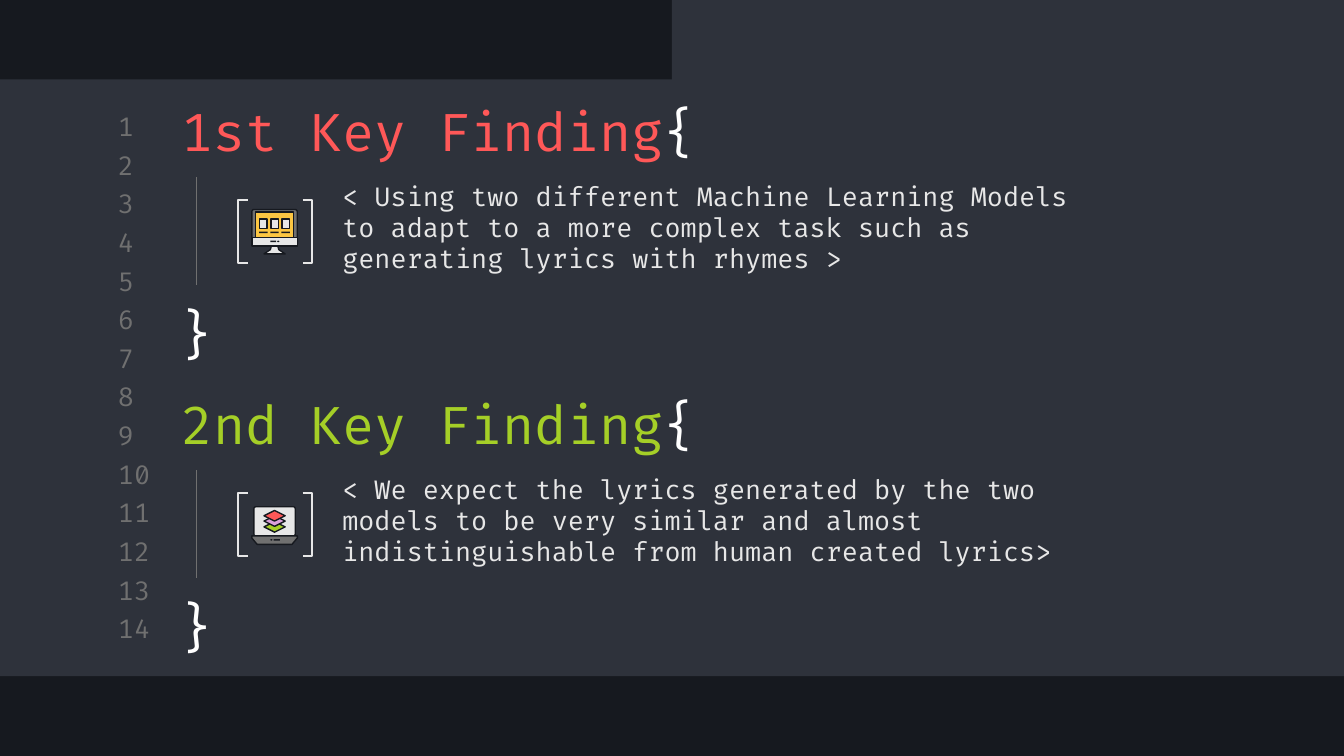
import pptx
import pptx.util
import pptx.dml.color
import pptx.enum.shapes
import pptx.enum.text
import pptx.oxml

Cm, Pt = pptx.util.Cm, pptx.util.Pt
SHAPE = pptx.enum.shapes.MSO_SHAPE
ALIGN = pptx.enum.text.PP_ALIGN
ANCHOR = pptx.enum.text.MSO_ANCHOR

THEME = {
    "font": "Fira Code", "title": 28, "body": 14, "line": 0.75,
    "dark": "16191F", "panel": "2E323B", "grey": "707070",
    "light": "E7E7E7", "white": "FFFFFF", "red": "FF5858",
    "green": "A5CF27", "yellow": "FCC642", "pink": "DBA0DB",
}

# Icon parts in cm from the icon centre: kind, fill, outlined, geometry.
# A polygon lists its points; the other kinds give left, top, width, height.
MONITOR = [
    ("polygon", "light", True, [(-.06, .27), (.06, .27), (.08, .34),
                                (.2, .42), (-.2, .42), (-.08, .34)]),
    (SHAPE.ROUNDED_RECTANGLE, "grey", True, (-.43, -.42, .86, .69)),
    (SHAPE.RECTANGLE, "light", True, (-.43, .11, .86, .16)),
    (SHAPE.RECTANGLE, "yellow", True, (-.36, -.37, .72, .48)),
    (SHAPE.RECTANGLE, "dark", False, (-.08, .17, .11, .03)),
    (SHAPE.OVAL, "dark", False, (.05, .17, .04, .03)),
]
for center in (-.21, 0, .21):
    MONITOR += [
        (SHAPE.RECTANGLE, "light", True, (center - .07, -.24, .14, .18)),
        (SHAPE.RECTANGLE, "dark", False, (center - .08, 0, .16, .03)),
    ]
LAPTOP = [
    (SHAPE.ROUNDED_RECTANGLE, "light", True, (-.39, -.34, .78, .55)),
    ("polygon", "grey", True, [(-.43, .21), (.43, .21), (.43, .25),
                               (.33, .37), (-.33, .37), (-.43, .25)]),
    (SHAPE.RECTANGLE, "dark", False, (-.02, .27, .12, .03)),
    (SHAPE.OVAL, "dark", False, (-.08, .27, .04, .03)),
] + [(SHAPE.DIAMOND, color, True, (-.2, top, .4, .2))
     for color, top in (("green", -.06), ("pink", -.17), ("red", -.27))]

FINDINGS = [
    ("1st Key Finding", "red", MONITOR,
     "< Using two different Machine Learning Models to adapt to a more "
     "complex task such as generating lyrics with rhymes >"),
    ("2nd Key Finding", "green", LAPTOP,
     "< We expect the lyrics generated by the two models to be very similar "
     "and almost indistinguishable from human created lyrics>"),
]
PANELS = [(0, 1.5, 25.4, 11.28), (12.7, 0, 12.7, 1.65)]
LINE_COUNT, LINE_TOP, LINE_STEP = 14, 2.08, 0.73
FINDING_STEP = 5.54
ICON_X, ICON_Y = 5.19, 4.38


def rgb(name):
    return pptx.dml.color.RGBColor.from_string(THEME[name])


def style(sp, fill=None, line=None):
    sp.shadow.inherit = False
    if fill:
        sp.fill.solid()
        sp.fill.fore_color.rgb = rgb(fill)
    else:
        sp.fill.background()
    if line:
        sp.line.color.rgb = rgb(line)
        sp.line.width = Pt(THEME["line"])
    else:
        sp.line.fill.background()


def add_shape(shapes, kind, box, fill=None, line=None):
    sp = shapes.add_shape(kind, *(Cm(v) for v in box))
    style(sp, fill, line)
    return sp


def add_text(shapes, box, runs, size, align=ALIGN.LEFT, anchor=ANCHOR.MIDDLE):
    tf = shapes.add_textbox(*(Cm(v) for v in box)).text_frame
    tf.word_wrap = True
    tf.vertical_anchor = anchor
    tf.margin_left = tf.margin_right = Cm(0.25)
    tf.margin_top = tf.margin_bottom = Cm(0.25)
    p = tf.paragraphs[0]
    p.alignment = align
    for text, color in runs:
        r = p.add_run()
        r.text = text
        r.font.name = THEME["font"]
        r.font.size = Pt(THEME[size])
        r.font.color.rgb = rgb(color)


def add_icon(shapes, parts, x, y):
    group = shapes.add_group_shape().shapes
    for kind, fill, outlined, geometry in parts:
        line = "dark" if outlined else None
        if kind == "polygon":
            points = [(Cm(x + dx), Cm(y + dy)) for dx, dy in geometry]
            builder = group.build_freeform(*points[0])
            builder.add_line_segments(points[1:])
            style(builder.convert_to_shape(), fill, line)
        else:
            dx, dy, w, h = geometry
            sp = add_shape(group, kind, (x + dx, y + dy, w, h), fill, line)
            if kind == SHAPE.ROUNDED_RECTANGLE:
                sp.adjustments[0] = 0.06


def add_finding(shapes, top, title, color, icon, text):
    # Description and heading
    add_text(shapes, (6.22, top + 3.2, 14.27, 2.18), [(text, "light")], "body")
    add_text(shapes, (3.18, top + 1.73, 11.28, 1.47),
             [(title, color), ("{", "white")], "title")

    # Icon between square brackets
    add_icon(shapes, icon, ICON_X, top + ICON_Y)
    for kind, x in ((SHAPE.LEFT_BRACKET, 4.5), (SHAPE.RIGHT_BRACKET, 5.72)):
        sp = add_shape(shapes, kind, (x, top + 3.78, .18, 1.19), line="light")
        sp.adjustments[0] = 0

    # Indent guide and closing brace
    guide = shapes.add_connector(
        pptx.enum.shapes.MSO_CONNECTOR.STRAIGHT,
        Cm(3.71), Cm(top + 3.35), Cm(3.71), Cm(top + 5.38))
    guide.line.color.rgb = rgb("grey")
    guide.line.width = Pt(THEME["line"])
    props = guide.element.spPr
    props.append(pptx.oxml.parse_xml(
        '<a:effectLst xmlns:a="http://schemas.openxmlformats.org/drawingml/2006/main"/>'))
    add_text(shapes, (3.02, top + 5.44, 1.4, 1.7), [("}", "white")], "title",
             ALIGN.CENTER, ANCHOR.TOP)


def main():
    prs = pptx.Presentation()
    prs.slide_width, prs.slide_height = Cm(25.4), Cm(14.29)
    s = prs.slides.add_slide(prs.slide_layouts[6])

    # Editor window
    s.background.fill.solid()
    s.background.fill.fore_color.rgb = rgb("dark")
    for box in PANELS:
        add_shape(s.shapes, SHAPE.RECTANGLE, box, "panel")

    # Line numbers
    for i in range(LINE_COUNT):
        add_text(s.shapes, (1.98, LINE_TOP + i * LINE_STEP, 1.19, .61),
                 [(str(i + 1), "grey")], "body")

    # Findings
    for i, finding in enumerate(FINDINGS):
        add_finding(s.shapes, i * FINDING_STEP, *finding)

    prs.save("out.pptx")


if __name__ == "__main__":
    main()
